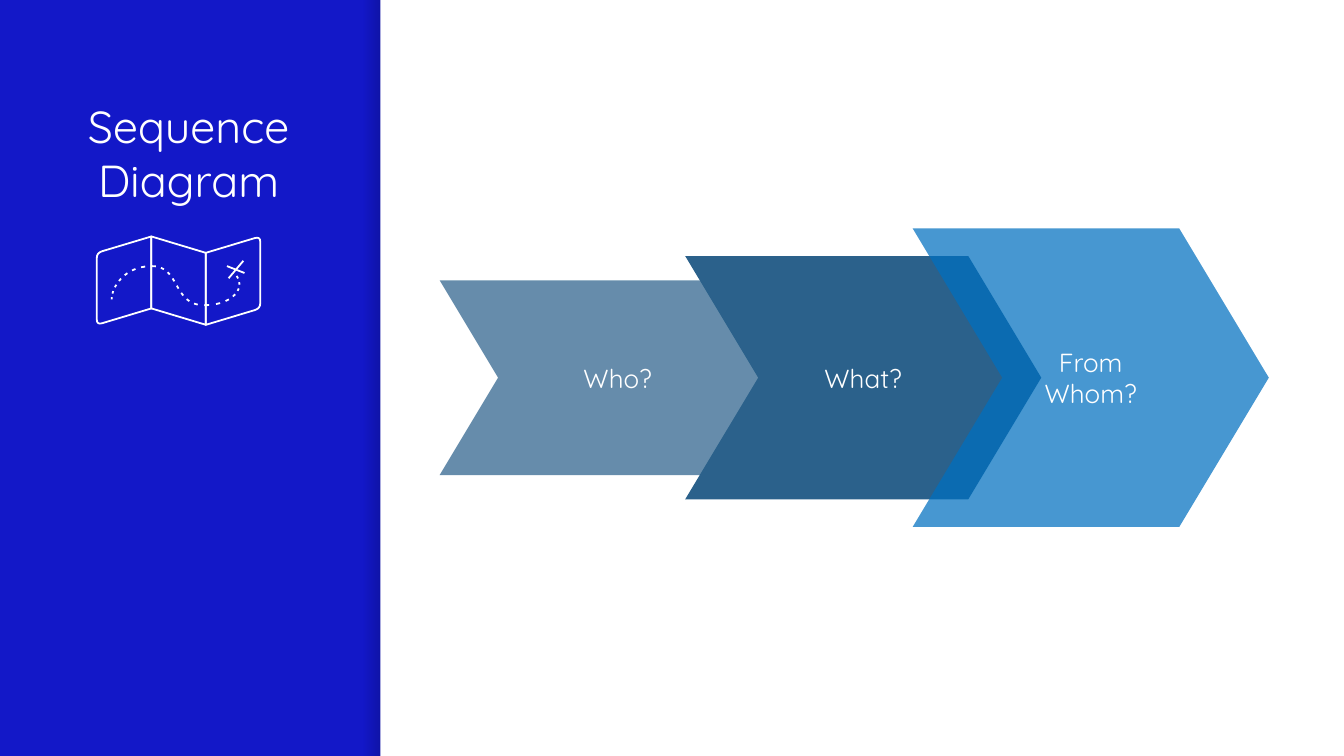
from dataclasses import dataclass
from itertools import pairwise

import pptx
import pptx.dml.color
import pptx.enum.shapes
import pptx.enum.text
import pptx.oxml.ns
import pptx.util
from lxml import etree
from pptx.util import Cm

KIND = pptx.enum.shapes.MSO_SHAPE
ANCHOR = pptx.enum.text.MSO_ANCHOR
WHITE, BLUE, STEEL, SKY, SHADE = "FFFFFF", "1318C8", "2B618B", "0070C0", "000014"
WIDE, HIGH = 25.4, 14.29
SIDE, EDGE = 7.19, 0.32  # width of the blue side and of its shaded edge
MID, STEP_WIDE = 7.14, 6.73  # centre line and width of the steps

Point = tuple[float, float]


@dataclass
class Step:
    text: str
    left: float
    high: float
    tint: str
    alpha: int = 100


@dataclass
class Curve:
    """A cubic Bezier curve, drawn as a number of dashes."""
    start: Point
    pull: Point
    push: Point
    end: Point
    count: int


# Drawn from back to front
STEPS = [
    Step("What?", 12.95, 4.6, STEEL),
    Step("From Whom?", 17.25, 5.64, SKY, 72),
    Step("Who?", 8.31, 3.68, STEEL, 72),
]

# Map: four evenly spaced folds whose tops zigzag between two heights
LEFT, GAP, LOW, PEAK, TALL = 1.83, 1.03, 4.78, 4.47, 1.36
FOLDS = [(LEFT + GAP * i, PEAK if i % 2 else LOW) for i in range(4)]
OUTER = (FOLDS[0][0], FOLDS[-1][0])  # sides with rounded corners
ROUND = 0.1

# Route: up to the crest, down to the dip, up to the cross
CREST, DIP = (2.87, 5.03), (3.86, 5.77)
ROUTE = [
    Curve((2.11, 5.66), (2.11, 5.42), (2.36, 5.03), CREST, 7),
    Curve(CREST, (3.41, 5.03), (3.26, 5.77), DIP, 8),
    Curve(DIP, (4.42, 5.77), (4.7, 5.4), (4.41, 5.15), 7),
]
INK = 0.4  # inked share of each dash and the gap after it
CROSS = [((4.29, 5.03), (4.62, 5.16)), ((4.6, 4.93), (4.32, 5.26))]


def blend(a: Point, b: Point, t: float) -> Point:
    return a[0] + (b[0] - a[0]) * t, a[1] + (b[1] - a[1]) * t


def bezier(points: list[Point], t: float) -> Point:
    """Blend neighbours until a single point is left."""
    while len(points) > 1:
        points = [blend(a, b, t) for a, b in pairwise(points)]
    return points[0]


def soften(prior: Point, corner: Point, after: Point) -> list[Point]:
    """Replace a corner by a short arc."""
    ends = []
    for side in (prior, after):
        size = max(abs(side[0] - corner[0]), abs(side[1] - corner[1]))
        ends.append(blend(corner, side, ROUND / size))
    arc = [ends[0], corner, ends[1]]
    return [bezier(arc, t) for t in (0, 0.25, 0.5, 0.75, 1)]


def color(tint: str):
    return pptx.dml.color.RGBColor.from_string(tint)


def paint(fill, tint: str) -> None:
    fill.solid()
    fill.fore_color.rgb = color(tint)


def fade(shape, *alphas: int) -> None:
    """Set the opacity in percent of each fill colour, in order."""
    tag = pptx.oxml.ns.qn("a:alpha")
    for node, alpha in zip(shape._element.spPr.xpath(".//a:srgbClr"), alphas):
        etree.SubElement(node, tag).set("val", str(alpha * 1000))


def write(shape, text: str, *, size: float, tint: str = WHITE,
          anchor=ANCHOR.MIDDLE) -> None:
    frame = shape.text_frame
    frame.word_wrap = True
    frame.vertical_anchor = anchor
    frame.margin_left = frame.margin_right = Cm(0.25)
    frame.margin_top = frame.margin_bottom = Cm(0.25)
    para = frame.paragraphs[0]
    para.alignment = pptx.enum.text.PP_ALIGN.CENTER
    run = para.add_run()
    run.text = text
    run.font.name = "Quicksand"
    run.font.size = pptx.util.Pt(size)
    run.font.color.rgb = color(tint)


def block(slide, kind, left: float, top: float, wide: float, high: float,
          tint: str):
    shape = slide.shapes.add_shape(kind, Cm(left), Cm(top), Cm(wide), Cm(high))
    shape.shadow.inherit = False
    shape.line.fill.background()
    paint(shape.fill, tint)
    return shape


def stroke(shape) -> None:
    paint(shape.line.fill, WHITE)
    shape.line.width = pptx.util.Pt(0.96)


def panel(slide, near: Point, far: Point) -> None:
    """Draw the map between two folds, rounding its outer corners."""
    corners = [near, far, (far[0], far[1] + TALL), (near[0], near[1] + TALL)]
    points = []
    for i, spot in enumerate(corners):
        if spot[0] in OUTER:
            points += soften(corners[i - 1], spot, corners[(i + 1) % 4])
        else:
            points.append(spot)
    first, *rest = [(Cm(x), Cm(y)) for x, y in points]
    pen = slide.shapes.build_freeform(*first)
    pen.add_line_segments(rest, close=True)
    shape = pen.convert_to_shape()
    shape.shadow.inherit = False
    shape.fill.background()
    stroke(shape)


def dash(slide, start: Point, end: Point) -> None:
    line = slide.shapes.add_connector(
        pptx.enum.shapes.MSO_CONNECTOR.STRAIGHT, *map(Cm, start + end))
    stroke(line)
    etree.SubElement(line._element.spPr, pptx.oxml.ns.qn("a:effectLst"))


def trail(slide, curve: Curve) -> None:
    points = [curve.start, curve.pull, curve.push, curve.end]
    for i in range(curve.count):
        dash(slide, bezier(points, i / curve.count),
             bezier(points, (i + INK) / curve.count))


def chevron(slide, step: Step) -> None:
    shape = block(slide, KIND.CHEVRON, step.left, MID - step.high / 2,
                  STEP_WIDE, step.high, step.tint)
    shape.adjustments[0] = 0.3
    if step.alpha < 100:
        fade(shape, step.alpha)
    write(shape, step.text, size=14)


def main() -> None:
    deck = pptx.Presentation()
    deck.slide_width, deck.slide_height = Cm(WIDE), Cm(HIGH)
    slide = deck.slides.add_slide(deck.slide_layouts[6])

    # Blue side with a shaded edge, white main area
    paint(slide.background.fill, BLUE)
    edge = block(slide, KIND.RECTANGLE, SIDE - EDGE, 0, EDGE, HIGH, SHADE)
    edge.fill.gradient()
    edge.fill.gradient_angle = 0
    for stop in edge.fill.gradient_stops:
        stop.color.rgb = color(SHADE)
    fade(edge, 0, 20)
    block(slide, KIND.RECTANGLE, SIDE, 0, WIDE - SIDE, HIGH, WHITE)

    # Title
    title = slide.shapes.add_textbox(Cm(0.39), Cm(1.62), Cm(6.35), Cm(11.05))
    write(title, "Sequence Diagram", size=24, anchor=ANCHOR.TOP)

    # Map icon
    for near, far in pairwise(FOLDS):
        panel(slide, near, far)
    for start, end in CROSS:
        dash(slide, start, end)
    for curve in ROUTE:
        trail(slide, curve)

    # Steps
    for step in STEPS:
        chevron(slide, step)

    deck.save("out.pptx")


if __name__ == "__main__":
    main()
